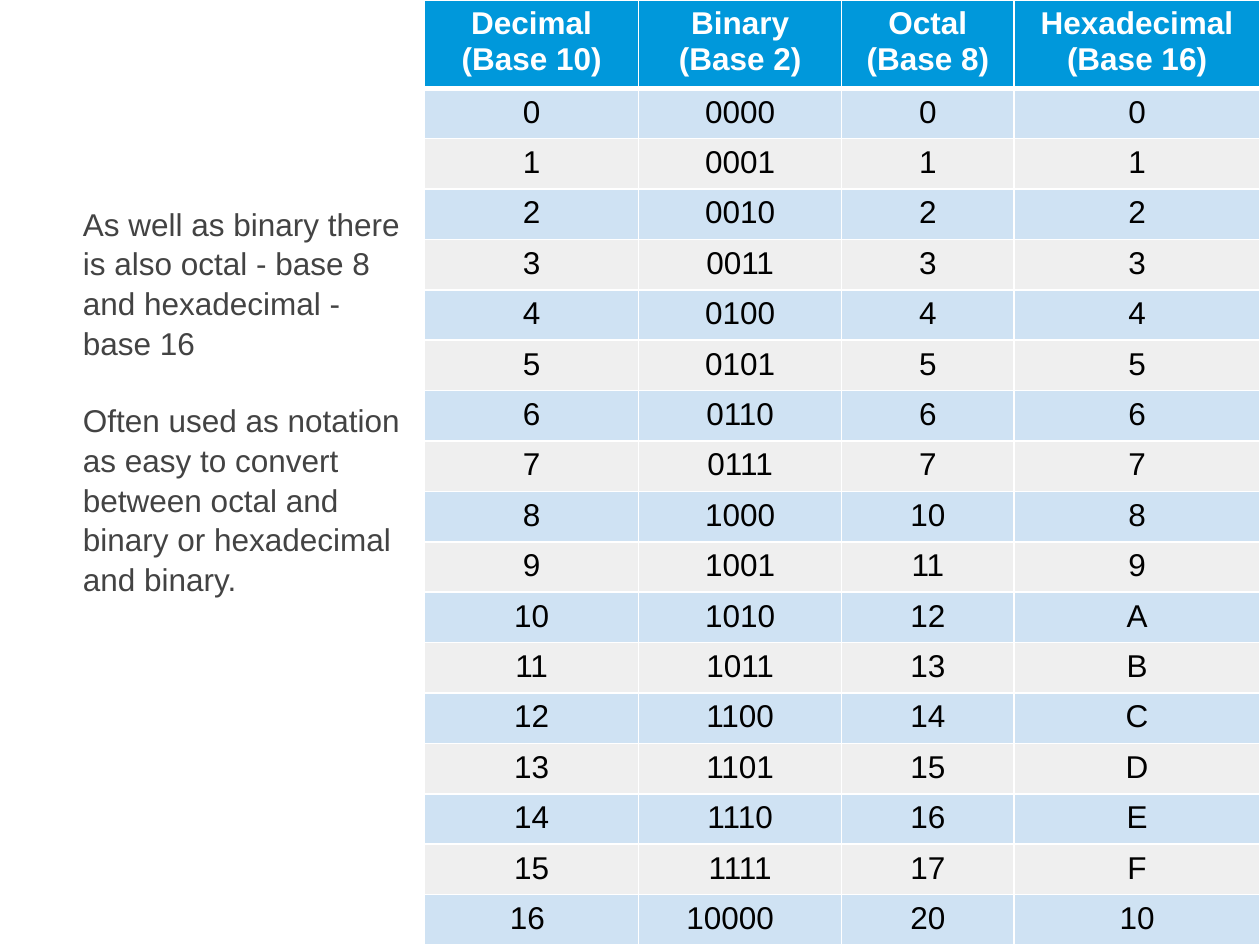
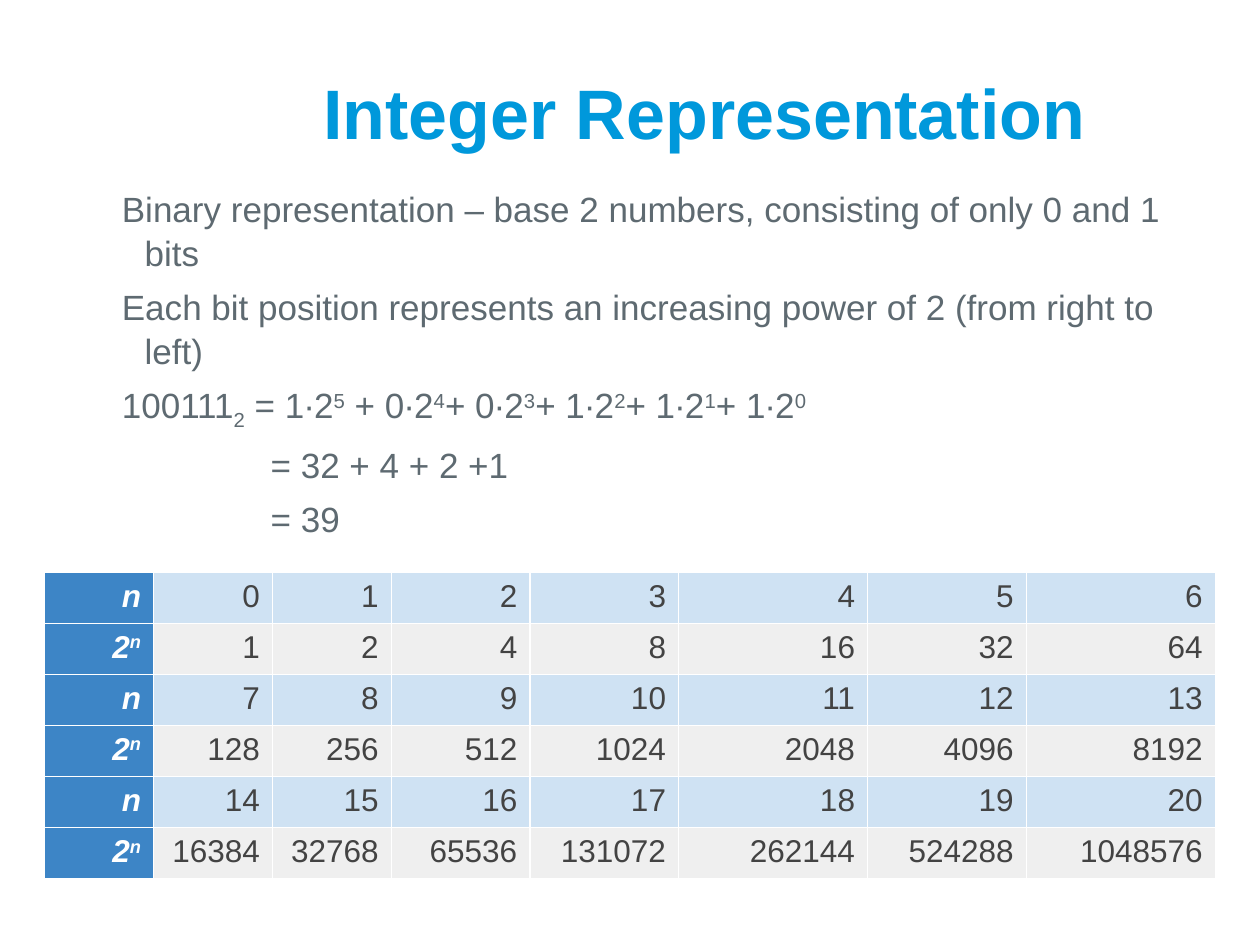
import pptx
import pptx.dml.color
import pptx.enum.text
import pptx.oxml.ns
import pptx.util
from lxml import etree

Pt = pptx.util.Pt
ALIGN = pptx.enum.text.PP_ALIGN
ANCHOR = pptx.enum.text.MSO_ANCHOR

BLUE, MID_BLUE = "0098DB", "3D85C6"
BANDS = ["CFE2F3", "EFEFEF"]
WHITE, BLACK, DARK, SLATE = "FFFFFF", "000000", "434343", "5E6A71"
SUB, SUP = -25000, 30000


def rgb(value):
    return pptx.dml.color.RGBColor.from_string(value)


class Deck:
    """Holds the style and the current slide, and adds elements to it."""

    font = "Arial"
    inset = 7.2

    def __init__(self, width, height):
        self.prs = pptx.Presentation()
        self.prs.slide_width, self.prs.slide_height = Pt(width), Pt(height)

    def slide(self):
        self.s = self.prs.slides.add_slide(self.prs.slide_layouts[6])

    def run(self, p, text, size, color, bold=False, italic=False, base=0):
        for i, line in enumerate(text.split("\n")):
            if i:
                p.add_line_break()
            r = p.add_run()
            r.text = line
            f = r.font
            f.name, f.size, f.bold, f.italic = self.font, Pt(size), bold, italic
            f.color.rgb = rgb(color)
            if base:
                r._r.get_or_add_rPr().set("baseline", str(base))

    def runs(self, p, parts, *style):
        for part in [parts] if isinstance(parts, str) else parts:
            text, base = (part, 0) if isinstance(part, str) else part
            self.run(p, text, *style, base=base)

    def text(self, box, paragraphs, size, color, bold=False, anchor=ANCHOR.TOP,
             before=0, spacing=1.05):
        sp = self.s.shapes.add_textbox(*map(Pt, box))
        tf = sp.text_frame
        tf.word_wrap, tf.vertical_anchor = True, anchor
        tf.margin_left = tf.margin_right = Pt(self.inset)
        tf.margin_top = tf.margin_bottom = Pt(self.inset)
        for i, (parts, margin, indent) in enumerate(paragraphs):
            p = tf.add_paragraph() if i else tf.paragraphs[0]
            p.line_spacing = spacing
            p.space_before = Pt(before if i else 0)
            pPr = p._p.get_or_add_pPr()
            pPr.set("marL", str(Pt(margin)))
            pPr.set("indent", str(Pt(indent)))
            self.runs(p, parts, size, color, bold)

    def title(self, box, text):
        self.text(box, [(text, 0, 0)], 40, BLUE, True, ANCHOR.BOTTOM, spacing=1)

    def borders(self, cell, **widths):
        tcPr = cell._tc.get_or_add_tcPr()
        qn = pptx.oxml.ns.qn
        for side in "LRTB":
            ln = etree.SubElement(tcPr, qn(f"a:ln{side}"), w=str(Pt(widths.get(side, 1))))
            fill = etree.SubElement(ln, qn("a:solidFill"))
            etree.SubElement(fill, qn("a:srgbClr"), val=WHITE)

    def table(self, left, top, widths, heights, rows, align, look):
        frame = self.s.shapes.add_table(len(rows), len(widths), Pt(left), Pt(top),
                                        Pt(sum(widths)), Pt(sum(heights)))
        table = frame.table
        table.first_row = table.horz_banding = False
        for column, width in zip(table.columns, widths):
            column.width = Pt(width)
        for i, (row, height) in enumerate(zip(rows, heights)):
            table.rows[i].height = Pt(height)
            for j, parts in enumerate(row):
                fill, edges, style = look(i, j)
                cell = table.cell(i, j)
                self.borders(cell, **edges)
                cell.fill.solid()
                cell.fill.fore_color.rgb = rgb(fill)
                p = cell.text_frame.paragraphs[0]
                p.alignment = align
                self.runs(p, parts, 18, *style)
        return table


def base_look(i, j):
    if i == 0:
        return BLUE, {"B": 3}, (WHITE, True)
    return BANDS[(i - 1) % 2], {"T": 3} if i == 1 else {}, (BLACK,)


def power_look(i, j):
    if j == 0:
        return MID_BLUE, {}, (WHITE, True, True)
    return BANDS[i % 2], {}, (DARK,)


def bases_slide(deck):
    deck.slide()
    rows = [["Decimal\n(Base 10)", "Binary\n(Base 2)", "Octal\n(Base 8)",
             "Hexadecimal\n(Base 16)"]]
    rows += [[str(n), f"{n:04b}", f"{n:o}", f"{n:X}"] for n in range(17)]
    table = deck.table(242.6, 0, [122.4, 115.9, 98.7, 140.4], [50.4] + [28.8] * 17,
                       rows, ALIGN.CENTER, base_look)
    sixteen, binary = table.cell(17, 0), table.cell(17, 1)
    sixteen.margin_right = Pt(12.2)
    binary.margin_left = Pt(27.2)
    binary.text_frame.paragraphs[0].alignment = ALIGN.LEFT
    notes = [
        "As well as binary there is also octal - base 8 and hexadecimal - base 16",
        "Often used as notation as easy to convert between octal and binary or "
        "hexadecimal and binary.",
    ]
    deck.text((40.3, 108.7, 203, 393), [(note, 0, 0) for note in notes], 18, DARK,
              before=21.6)


def integer_slide(deck):
    deck.slide()
    deck.title((177.8, 16.6, 499.7, 78.5), "Integer Representation")
    expansion = ["100111", ("2", SUB), " = 1∙2", ("5", SUP), " + 0∙2", ("4", SUP)]
    for bit, power in zip("0111", "3210"):
        expansion += [f"+ {bit}∙2", (power, SUP)]
    hanging, result = (27.4, -13), (99.4, 0)
    deck.text((48.2, 98.6, 635.8, 216.7), [
        ("Binary representation – base 2 numbers, consisting of only 0 and 1 bits", *hanging),
        ("Each bit position represents an increasing power of 2 (from right to left)", *hanging),
        (expansion, *hanging),
        ("= 32 + 4 + 2 +1", *result),
        ("= 39", *result),
    ], 20, SLATE, before=5.6)
    rows = []
    for start in range(0, 21, 7):
        exponents = range(start, start + 7)
        rows.append(["n"] + [str(n) for n in exponents])
        rows.append([["2", ("n", SUP)]] + [str(2 ** n) for n in exponents])
    deck.table(25.2, 327, [62.6, 67.9, 67.9, 79.2, 85, 108, 90.7, 108], [29.2] * 6,
               rows, ALIGN.RIGHT, power_look)


def main():
    deck = Deck(720, 540)
    bases_slide(deck)
    integer_slide(deck)
    deck.prs.save("out.pptx")


if __name__ == "__main__":
    main()
